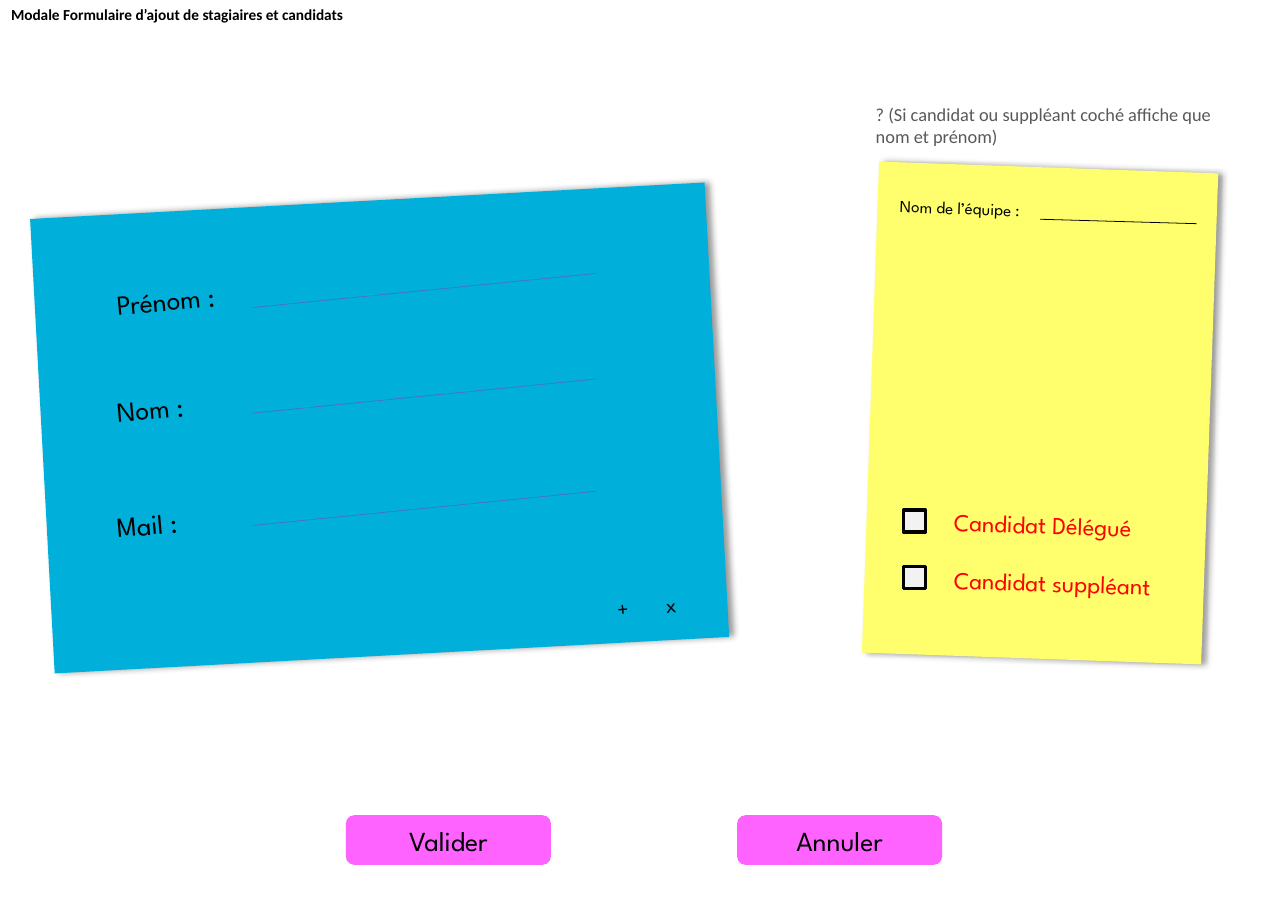
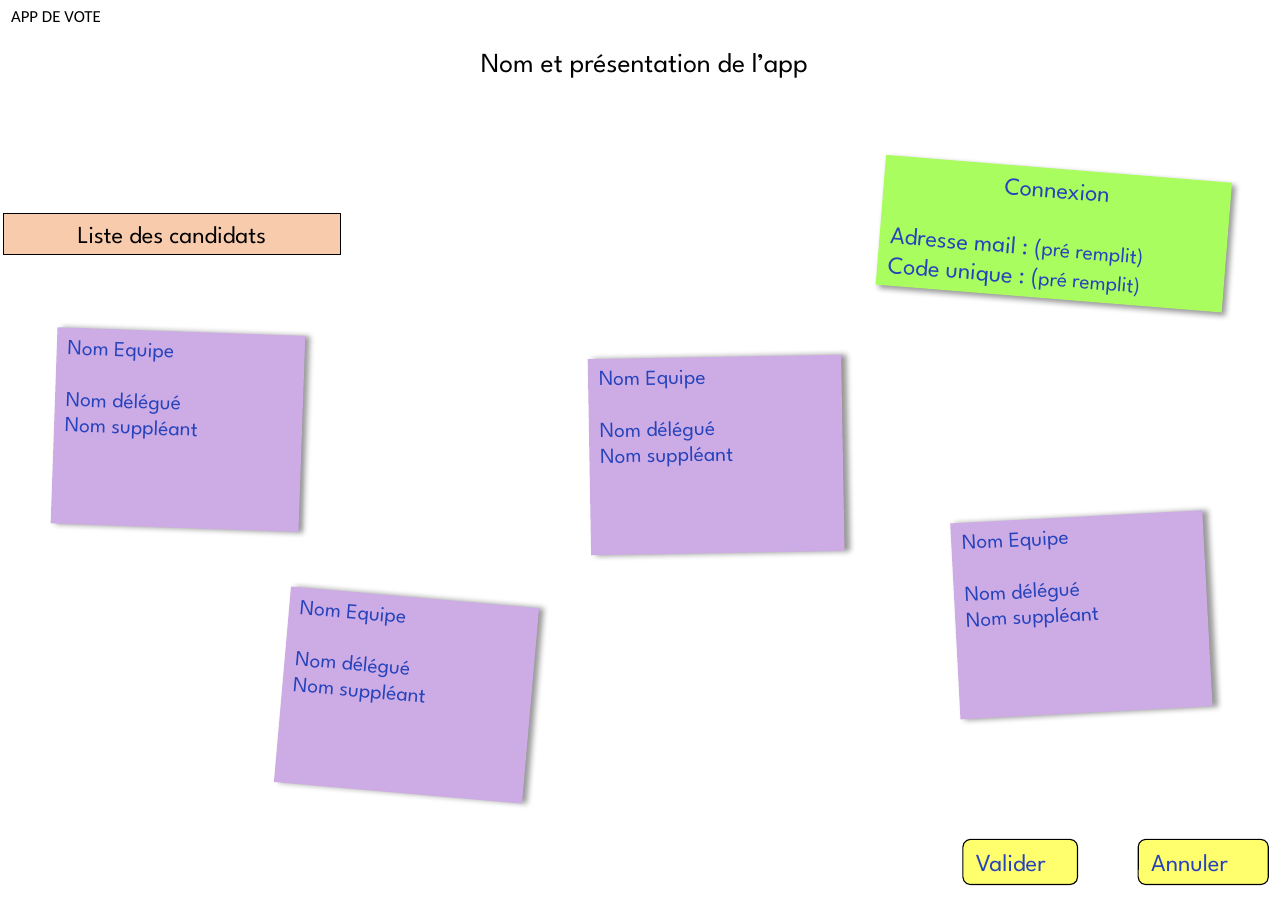
from dataclasses import dataclass

from lxml import etree
from pptx import Presentation
from pptx.dml.color import RGBColor
from pptx.enum import shapes, text
from pptx.oxml import ns
from pptx.util import Pt


@dataclass(frozen=True)
class Theme:
    # Colours
    black: str = "000000"
    white: str = "FFFFFF"
    grey: str = "595959"
    checkbox: str = "F2F2F2"
    red: str = "FF0000"
    ink: str = "2643BC"
    rule: str = "4472C4"
    blue: str = "00B0DA"
    yellow: str = "FFFF6D"
    pink: str = "FE62FF"
    green: str = "AAFD5F"
    peach: str = "F8CBAD"
    purple: str = "CDACE6"
    # Fonts and sizes
    plain: str = "Calibri"
    display: str = "League Spartan"
    large: float = 18
    medium: float = 16
    small: float = 14
    note: float = 12
    tiny: float = 11
    heading: float = 10


T = Theme()
PAGE_WIDTH, PAGE_HEIGHT = 841.7, 595.4
RECT = shapes.MSO_SHAPE.RECTANGLE
ROUNDED = shapes.MSO_SHAPE.ROUNDED_RECTANGLE
LEFT, CENTER = text.PP_ALIGN.LEFT, text.PP_ALIGN.CENTER
TOP, MIDDLE = text.MSO_ANCHOR.TOP, text.MSO_ANCHOR.MIDDLE


# Text
def write(shape, lines, size, color=T.black, font=T.display, align=LEFT,
          anchor=TOP, bold=False):
    """Each line is a string or a list of (words, size) runs."""
    frame = shape.text_frame
    frame.word_wrap = True
    frame.auto_size = text.MSO_AUTO_SIZE.NONE
    frame.vertical_anchor = anchor
    for index, line in enumerate(lines):
        paragraph = frame.paragraphs[0] if index == 0 else frame.add_paragraph()
        paragraph.alignment = align
        paragraph.font.name = font
        paragraph.font.size = Pt(size)
        paragraph.font.bold = bold
        paragraph.font.color.rgb = RGBColor.from_string(color)
        runs = [(line, size)] if isinstance(line, str) else line
        for words, run_size in runs:
            run = paragraph.add_run()
            run.text = words
            if run_size != size:
                run.font.size = Pt(run_size)
    return frame.paragraphs


def add_label(slide, words, box, size, rotation=0, **style):
    label = slide.shapes.add_textbox(*map(Pt, box))
    label.rotation = rotation
    write(label, [words], size, **style)


def add_heading(slide, words, size, bold=False):
    heading = slide.shapes.title
    heading.left, heading.top = Pt(0), Pt(0)
    heading.width, heading.height = Pt(PAGE_WIDTH), Pt(20)
    write(heading, [words], size, font=T.plain, bold=bold)


# Shapes and lines
def add_panel(slide, box, fill, kind=RECT, outline=0, rotation=0):
    panel = slide.shapes.add_shape(kind, *map(Pt, box))
    panel.rotation = rotation
    panel.shadow.inherit = False
    panel.fill.solid()
    panel.fill.fore_color.rgb = RGBColor.from_string(fill)
    if outline:
        panel.line.width = Pt(outline)
        panel.line.color.rgb = RGBColor.from_string(T.black)
    else:
        panel.line.fill.background()
    return panel


def add_sticky(slide, box, fill, rotation, shadow_angle=0):
    """A tilted paper note with a soft shadow."""
    sticky = add_panel(slide, box, fill, rotation=rotation)
    effects = sticky._element.spPr.find(ns.qn("a:effectLst"))
    shadow = etree.SubElement(
        effects, ns.qn("a:outerShdw"), blurRad=str(Pt(4)), dist=str(Pt(3)),
        dir=str(shadow_angle * 60000), algn="tl", rotWithShape="0")
    color = etree.SubElement(shadow, ns.qn("a:srgbClr"), val=T.black)
    etree.SubElement(color, ns.qn("a:alpha"), val="40000")
    return sticky


def add_button(slide, words, box, fill, size, color, align, outline=0):
    button = add_panel(slide, box, fill, ROUNDED, outline)
    write(button, [words], size, color, align=align, anchor=MIDDLE)


def add_rule(slide, start, end, color):
    rule = slide.shapes.add_connector(
        shapes.MSO_CONNECTOR.STRAIGHT, *map(Pt, start + end))
    rule.line.width = Pt(0.5)
    rule.line.color.rgb = RGBColor.from_string(color)
    etree.SubElement(rule._element.spPr, ns.qn("a:effectLst"))


def add_team_card(slide, left, top, width, rotation):
    card = add_sticky(slide, (left, top, width, 128.2), T.purple, rotation)
    lines = write(card, ["Nom Equipe", "Nom délégué", "Nom suppléant"],
                  T.small, T.ink)
    lines[0].space_after = Pt(17)


# Slides
def build_form(slide):
    add_heading(slide, "Modale Formulaire d’ajout de stagiaires et candidats",
                T.heading, bold=True)
    add_sticky(slide, (568.8, 109.4, 221.8, 321.1), T.yellow, 2)
    add_sticky(slide, (27.4, 131, 441.4, 297.4), T.blue, -3.1)

    # Personal details
    for words, label_top, rule_y in (("Prénom :", 180.7, 201),
                                     ("Nom :", 250.7, 270),
                                     ("Mail :", 326.2, 343.4)):
        add_label(slide, words, (69, label_top, 102.2, 28.8), T.large, -5)
        add_rule(slide, (165, rule_y), (389.5, rule_y - 22.3), T.rule)
    for sign, left, top in (("+", 394.8, 386), ("x", 426.2, 383.3)):
        add_label(slide, sign, (left, top, 24.5, 24.5), T.small, -5.1,
                  align=CENTER)

    # Team and candidate type
    add_label(slide, "? (Si candidat ou suppléant coché affiche que nom et prénom)",
              (565.2, 64, 253.4, 36), T.note, color=T.grey, font=T.plain)
    add_label(slide, "Nom de l’équipe :", (581, 126, 111.6, 20.9), T.tiny, 2)
    add_rule(slide, (679.7, 143.3), (782, 146.2), T.black)
    for row, words in enumerate(("Candidat Délégué", "Candidat suppléant")):
        add_panel(slide, (590.4, 333.4 + row * 36.7, 14.4, 14.4), T.checkbox,
                  outline=2.25)
        add_label(slide, words, (616.3, 330.5 + row * 37.8, 178.6, 26.6),
                  T.medium, 2, color=T.red)

    for words, left in (("Valider", 226), ("Annuler", 481.7)):
        add_button(slide, words, (left, 532.8, 134, 32.4), T.pink, T.large,
                   T.black, CENTER)


def build_vote(slide):
    add_heading(slide, "APP DE VOTE", T.tiny)
    caption = add_panel(slide, (270, 26, 302.4, 28.8), T.white)
    write(caption, ["Nom et présentation de l’app"], T.large,
          align=CENTER, anchor=MIDDLE)

    # Login note
    login = add_sticky(slide, (575.3, 110.2, 226.8, 85), T.green, 4.6, 45)
    hint = ("pré remplit)", T.small)
    lines = write(login, ["Connexion",
                          [("Adresse mail : (", T.medium), hint],
                          [("Code unique : (", T.medium), hint]],
                  T.medium, T.ink)
    lines[0].alignment = CENTER
    lines[0].space_after = Pt(19)

    # Candidates
    banner = add_panel(slide, (2.2, 139.7, 220.3, 26.6), T.peach, outline=0.75)
    write(banner, ["Liste des candidats"], T.medium, align=CENTER, anchor=MIDDLE)
    for left, top, width, rotation in ((35.3, 216.7, 162, 2),
                                       (385.2, 233.3, 165.6, -1),
                                       (624.2, 337.7, 164.9, -3),
                                       (184.3, 390.2, 162.7, 5)):
        add_team_card(slide, left, top, width, rotation)

    for words, left, width in (("Valider", 629.3, 74.9), ("Annuler", 743.8, 85)):
        add_button(slide, words, (left, 548.6, width, 29.5), T.yellow, T.medium,
                   T.ink, LEFT, outline=0.75)


def main():
    deck = Presentation()
    deck.slide_width, deck.slide_height = Pt(PAGE_WIDTH), Pt(PAGE_HEIGHT)
    title_only = deck.slide_layouts[5]
    for build in (build_form, build_vote):
        build(deck.slides.add_slide(title_only))
    deck.save("out.pptx")


if __name__ == "__main__":
    main()
